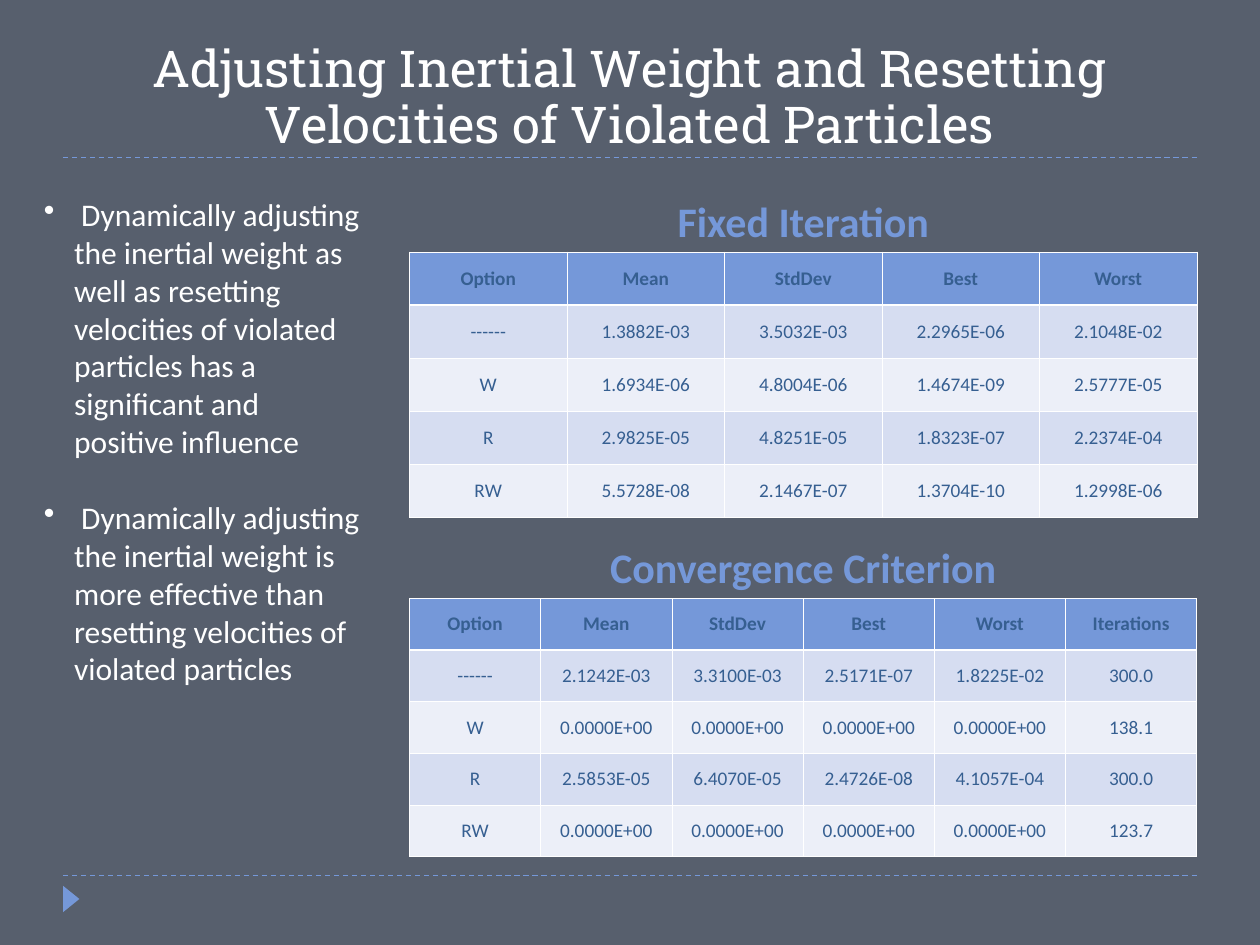
from lxml import etree
from pptx import Presentation
from pptx.dml.color import RGBColor
from pptx.enum.dml import MSO_LINE
from pptx.enum.shapes import MSO_CONNECTOR, MSO_SHAPE
from pptx.enum.text import MSO_ANCHOR, PP_ALIGN
from pptx.oxml.ns import qn
from pptx.util import Inches, Pt

CENTER, LEFT = PP_ALIGN.CENTER, PP_ALIGN.LEFT
TOP, MIDDLE, BOTTOM = MSO_ANCHOR.TOP, MSO_ANCHOR.MIDDLE, MSO_ANCHOR.BOTTOM
DASH = MSO_LINE.DASH
STRAIGHT = MSO_CONNECTOR.STRAIGHT
TRIANGLE = MSO_SHAPE.ISOSCELES_TRIANGLE

U = Inches(0.25)  # grid step: the slide is 40 columns by 30 rows
BLUE, WHITE, INK = "7598D9", "FFFFFF", "365F91"
BANDS = ["D6DDF1", "ECEFF8"]


def rgb(value):
    return RGBColor.from_string(value)


def add_text(box, paragraphs, size, color, font="Calibri", bold=False,
             align=CENTER, anchor=MIDDLE):
    """Fill a text box or a table cell with evenly styled paragraphs."""
    box.vertical_anchor = anchor
    tf = getattr(box, "text_frame", box)
    tf.word_wrap = True
    tf.text = "\n".join(paragraphs)
    for p in tf.paragraphs:
        p.alignment = align
        p.font.size, p.font.name, p.font.bold = Pt(size), font, bold
        p.font.color.rgb = rgb(color)
    return tf


prs = Presentation()
prs.slide_width, prs.slide_height = 40 * U, 30 * U
s = prs.slides.add_slide(prs.slide_layouts[6])
s.background.fill.solid()
s.background.fill.fore_color.rgb = rgb("575F6D")

# Dashed rules under the title and above the footer
for row in (5, 27.8):
    rule = s.shapes.add_connector(STRAIGHT, 2 * U, int(row * U), 38 * U, int(row * U))
    rule.line.color.rgb = rgb(BLUE)
    rule.line.width = Pt(0.75)
    rule.line.dash_style = DASH
    etree.SubElement(rule._element.spPr, qn("a:effectLst"))

# Footer marker
marker = s.shapes.add_shape(TRIANGLE, Inches(0.46), Inches(7.07),
                            Inches(0.21), Inches(0.13))
marker.rotation = 90
marker.shadow.inherit = False
marker.fill.solid()
marker.fill.fore_color.rgb = rgb(BLUE)
marker.line.fill.background()

# Title
title = s.shapes.add_textbox(2 * U, U, 36 * U, 4 * U)
tf = add_text(title.text_frame,
              ["Adjusting Inertial Weight and Resetting Velocities of Violated Particles"],
              29, WHITE, font="Roboto Slab")
tf.margin_top, tf.margin_bottom = Inches(0.07), 0
tf.paragraphs[0].line_spacing = 0.91

# Headings and result tables: heading, heading row, table row, height in rows, data
results = [
    ("Fixed Iteration", 6, 8, 8.44, [
        ["Option", "Mean", "StdDev", "Best", "Worst"],
        ["------", "1.3882E-03", "3.5032E-03", "2.2965E-06", "2.1048E-02"],
        ["W", "1.6934E-06", "4.8004E-06", "1.4674E-09", "2.5777E-05"],
        ["R", "2.9825E-05", "4.8251E-05", "1.8323E-07", "2.2374E-04"],
        ["RW", "5.5728E-08", "2.1467E-07", "1.3704E-10", "1.2998E-06"],
    ]),
    ("Convergence Criterion", 17, 19, 8.2, [
        ["Option", "Mean", "StdDev", "Best", "Worst", "Iterations"],
        ["------", "2.1242E-03", "3.3100E-03", "2.5171E-07", "1.8225E-02", "300.0"],
        ["W", "0.0000E+00", "0.0000E+00", "0.0000E+00", "0.0000E+00", "138.1"],
        ["R", "2.5853E-05", "6.4070E-05", "2.4726E-08", "4.1057E-04", "300.0"],
        ["RW", "0.0000E+00", "0.0000E+00", "0.0000E+00", "0.0000E+00", "123.7"],
    ]),
]
for heading, head_row, table_row, height, data in results:
    box = s.shapes.add_textbox(13 * U, head_row * U, 25 * U, 2 * U)
    add_text(box.text_frame, [heading], 24, BLUE, bold=True, anchor=BOTTOM)

    table = s.shapes.add_table(len(data), len(data[0]), 13 * U, table_row * U,
                               25 * U, int(height * U)).table
    for i, values in enumerate(data):
        for j, value in enumerate(values):
            cell = table.cell(i, j)
            cell.margin_left = cell.margin_right = Inches(0.01)
            add_text(cell, [value], 11, INK if i else INK, bold=i == 0)
            # Thin white borders, with a thicker one below the header
            for side in "LRTB":
                thick = (i, side) in ((0, "B"), (1, "T"))
                ln = etree.SubElement(cell._tc.get_or_add_tcPr(), qn(f"a:ln{side}"),
                                      w=str(Pt(1.47 if thick else 0.45)))
                fill = etree.SubElement(ln, qn("a:solidFill"))
                etree.SubElement(fill, qn("a:srgbClr"), val=WHITE)
            cell.fill.solid()
            cell.fill.fore_color.rgb = rgb(BANDS[(i - 1) % 2] if i else BLUE)

# Findings
findings = [
    " Dynamically adjusting the inertial weight as well as resetting velocities "
    "of violated particles has a significant and positive influence",
    " Dynamically adjusting the inertial weight is more effective than resetting "
    "velocities of violated particles",
]
box = s.shapes.add_textbox(U, 6 * U, 11 * U, int(17.2 * U))
tf = add_text(box.text_frame, findings, 18, WHITE, align=LEFT, anchor=TOP)
tf.paragraphs[1].space_before = Pt(22)
for p in tf.paragraphs:
    pPr = p._p.get_or_add_pPr()
    pPr.set("marL", str(Inches(0.24)))
    pPr.set("indent", str(-Inches(0.24)))
    bullet = etree.Element(qn("a:buChar"), char="•")
    pPr.find(qn("a:defRPr")).addprevious(bullet)

prs.save("out.pptx")
